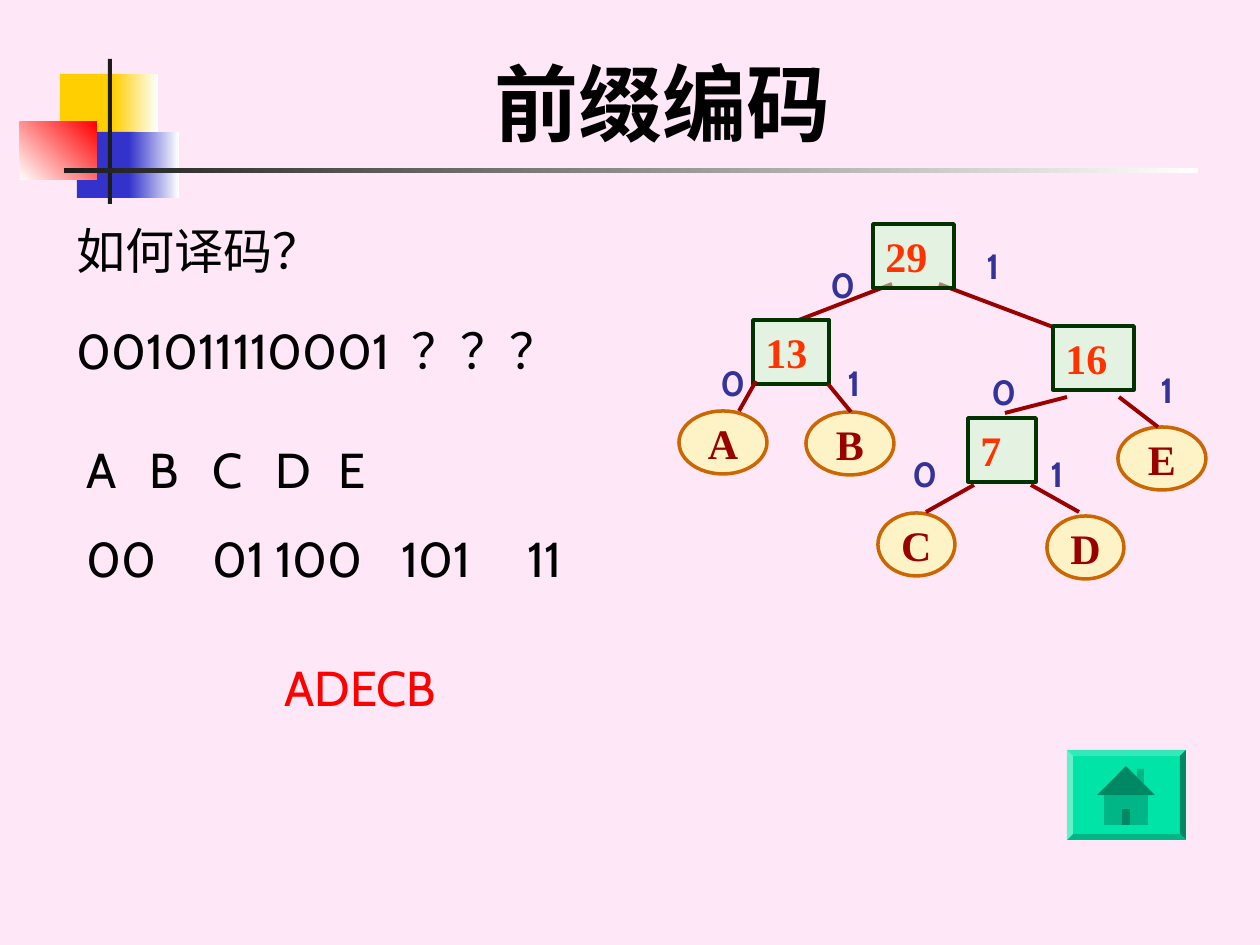
from dataclasses import dataclass
from typing import NamedTuple

from lxml.etree import SubElement
from pptx import Presentation
from pptx.dml.color import RGBColor as Rgb
from pptx.enum.shapes import MSO_CONNECTOR as Link, MSO_SHAPE as Shape
from pptx.enum.text import MSO_ANCHOR as Anchor, MSO_AUTO_SIZE as AutoSize, PP_ALIGN as Align
from pptx.oxml.ns import qn
from pptx.util import Inches, Pt

PX = Inches(1) / 126


@dataclass(frozen=True)
class Theme:
    background: str = "FEE8F7"
    black: str = "000000"
    white: str = "FFFFFF"
    charcoal: str = "1C1C1C"
    yellow: str = "FFCF01"
    blue: str = "3333CC"
    red: str = "FF0000"
    edge: str = "990000"
    bit: str = "333399"
    serif: str = "Times New Roman"
    sans: str = "Cabin"
    title_size: int = 48
    body_size: int = 28
    node_size: int = 24
    bit_size: int = 20
    edge_width: float = 2.25
    node_width: int = 2


class NodeStyle(NamedTuple):
    shape: Shape
    fill: str
    line: str
    text: str
    align: Align
    anchor: Anchor
    wrap: bool


class Area(NamedTuple):
    left: int
    top: int
    width: int
    height: int


class Band(NamedTuple):
    area: Area
    start: str
    end: str | None = None
    angle: int = 0


class Node(NamedTuple):
    text: str
    area: Area
    style: NodeStyle


class Edge(NamedTuple):
    x1: int
    y1: int
    x2: int
    y2: int


class Label(NamedTuple):
    text: str
    area: Area
    color: str
    size: int
    bold: bool = False
    tab: int = 0


class Panel(NamedTuple):
    color: str
    points: list[tuple[int, int]]


THEME = Theme()
WEIGHT = NodeStyle(Shape.RECTANGLE, "CCFFCC", "003300", "FF3300", Align.LEFT, Anchor.TOP, True)
LEAF = NodeStyle(Shape.OVAL, "FFFF99", "CC6600", THEME.edge, Align.CENTER, Anchor.MIDDLE, False)

BANDS = [
    Band(Area(60, 74, 60, 66), THEME.yellow),
    Band(Area(113, 74, 45, 66), THEME.yellow, THEME.white),
    Band(Area(77, 132, 58, 66), THEME.blue),
    Band(Area(129, 132, 50, 66), THEME.blue, THEME.white),
    Band(Area(20, 122, 77, 58), THEME.white, THEME.red, 45),
    Band(Area(108, 59, 4, 145), THEME.charcoal),
    Band(Area(64, 168, 1134, 5), THEME.charcoal, THEME.white),
]
ROOT_EDGES = [Edge(892, 284, 799, 320), Edge(939, 284, 1053, 327)]
LOWER_EDGES = [
    Edge(756, 381, 739, 411), Edge(828, 384, 851, 412),
    Edge(1067, 397, 1005, 413), Edge(1119, 397, 1158, 427),
    Edge(974, 485, 926, 512), Edge(1031, 485, 1079, 512),
]
NODES = [
    Node("29", Area(873, 224, 81, 64), WEIGHT),
    Node("13", Area(753, 320, 76, 64), WEIGHT),
    Node("16", Area(1053, 326, 81, 64), WEIGHT),
    Node("7", Area(968, 418, 68, 64), WEIGHT),
    Node("A", Area(679, 411, 88, 63), LEAF),
    Node("B", Area(806, 412, 88, 63), LEAF),
    Node("C", Area(878, 513, 77, 63), LEAF),
    Node("D", Area(1047, 516, 77, 63), LEAF),
    Node("E", Area(1118, 427, 88, 63), LEAF),
]
BITS = [
    ("0", 818, 257), ("1", 974, 238), ("0", 708, 355), ("1", 835, 355),
    ("0", 979, 364), ("1", 1148, 362), ("0", 900, 446), ("1", 1038, 446),
]
LABELS = [Label(bit, Area(x, y, 59, 55), THEME.bit, THEME.bit_size, True) for bit, x, y in BITS] + [
    Label("如何译码？", Area(64, 214, 466, 72), THEME.black, THEME.body_size),
    Label("001011110001\t？？？", Area(64, 314, 566, 72), THEME.black, THEME.body_size, tab=335),
    Label("ADECB", Area(272, 651, 507, 72), THEME.red, THEME.body_size),
    Label("A\tB\tC\tD\tE", Area(74, 433, 596, 72), THEME.black, THEME.body_size),
    Label("00\t01\t100\t101\t11", Area(74, 522, 596, 72), THEME.black, THEME.body_size),
]


def rectangle(area: Area) -> list[tuple[int, int]]:
    left, top, width, height = area
    return [(left, top), (left + width, top), (left + width, top + height), (left, top + height)]


OUTER = rectangle(Area(1067, 750, 119, 90))
INNER = rectangle(Area(1073, 756, 107, 78))
BEVELS = ["33E9B9", "008865", "00B686", "66EFCB"]
HOME_BUTTON = [Panel("00E4A8", OUTER)] + [
    Panel(color, [OUTER[i], OUTER[(i + 1) % 4], INNER[(i + 1) % 4], INNER[i]])
    for i, color in enumerate(BEVELS)
] + [
    Panel("00B686", [(1137, 777), (1137, 769), (1144, 769), (1144, 784)]),
    Panel("00B686", rectangle(Area(1104, 795, 44, 30))),
    Panel("008865", [(1126, 766), (1155, 795), (1097, 795)]),
    Panel("008865", rectangle(Area(1122, 809, 8, 16))),
]


def emu(*lengths: int) -> list[int]:
    return [round(length * PX) for length in lengths]


def paint(shape, color: str) -> None:
    shape.shadow.inherit = False
    shape.fill.solid()
    shape.fill.fore_color.rgb = Rgb.from_string(color)
    shape.line.fill.background()


def write(shape, text: str, face: str, size: int, color: str, bold: bool, align=Align.LEFT):
    shape.text_frame.text = text
    para = shape.text_frame.paragraphs[0]
    para.alignment = align
    para.font.name, para.font.size, para.font.bold = face, Pt(size), bold
    para.font.color.rgb = Rgb.from_string(color)
    return para


def draw_band(page, band: Band) -> None:
    shape = page.shapes.add_shape(Shape.RECTANGLE, *emu(*band.area))
    paint(shape, band.start)
    if band.end:
        shape.fill.gradient()
        shape.fill.gradient_angle = band.angle
        for stop, color, position in zip(shape.fill.gradient_stops, (band.start, band.end), (0, 1)):
            stop.color.rgb = Rgb.from_string(color)
            stop.position = position


def draw_edge(page, edge: Edge) -> None:
    line = page.shapes.add_connector(Link.STRAIGHT, *emu(*edge))
    line.line.color.rgb = Rgb.from_string(THEME.edge)
    line.line.width = Pt(THEME.edge_width)
    SubElement(line._element.spPr, qn("a:effectLst"))


def draw_node(page, node: Node) -> None:
    style = node.style
    shape = page.shapes.add_shape(style.shape, *emu(*node.area))
    paint(shape, style.fill)
    tint = shape._element.spPr.find(qn("a:solidFill"))[0]
    SubElement(tint, qn("a:alpha")).set("val", "50000")
    shape.line.color.rgb = Rgb.from_string(style.line)
    shape.line.width = Pt(THEME.node_width)
    shape.text_frame.word_wrap = style.wrap
    shape.text_frame.vertical_anchor = style.anchor
    write(shape, node.text, THEME.serif, THEME.node_size, style.text, True, style.align)


def draw_label(page, label: Label) -> None:
    box = page.shapes.add_textbox(*emu(*label.area))
    box.text_frame.word_wrap = True
    para = write(box, label.text, THEME.sans, label.size, label.color, label.bold)
    if label.tab:
        tabs = SubElement(para._p.get_or_add_pPr(), qn("a:tabLst"))
        para._p.pPr.insert(0, tabs)
        SubElement(tabs, qn("a:tab"), pos=str(emu(label.tab)[0]), algn="l")
        para._p.pPr.insert(0, tabs)


def draw_panel(group, panel: Panel) -> None:
    first, *rest = panel.points
    builder = group.shapes.build_freeform(*first, scale=PX)
    builder.add_line_segments(rest, close=True)
    paint(builder.convert_to_shape(), panel.color)


def draw_title(page, text: str, area: Area) -> None:
    title = page.shapes.title
    title.left, title.top, title.width, title.height = emu(*area)
    title.text_frame.auto_size = AutoSize.NONE
    title.text_frame.vertical_anchor = Anchor.TOP
    write(title, text, THEME.serif, THEME.title_size, THEME.black, True, Align.CENTER)


def main() -> None:
    deck = Presentation()
    deck.slide_width, deck.slide_height = emu(1260, 945)
    page = deck.slides.add_slide(deck.slide_layouts[5])
    page.background.fill.solid()
    page.background.fill.fore_color.rgb = Rgb.from_string(THEME.background)
    draw_title(page, "前缀编码", Area(106, 45, 1113, 113))
    steps = [(draw_band, BANDS), (draw_edge, ROOT_EDGES), (draw_node, NODES),
             (draw_edge, LOWER_EDGES), (draw_label, LABELS)]
    for draw, items in steps:
        for item in items:
            draw(page, item)
    button = page.shapes.add_group_shape()
    for panel in HOME_BUTTON:
        draw_panel(button, panel)
    deck.save("out.pptx")


if __name__ == "__main__":
    main()
